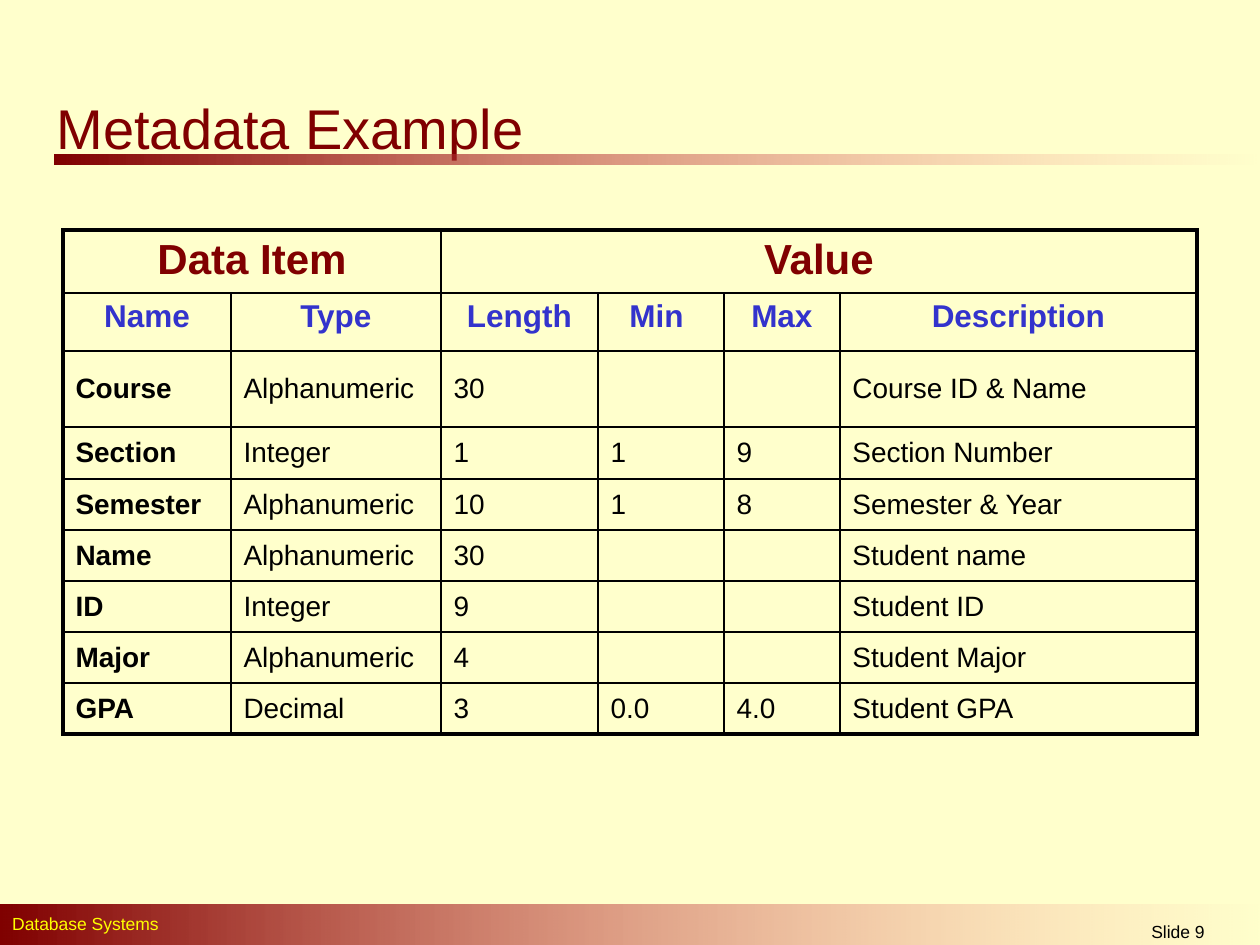
from lxml import etree
from pptx import Presentation
from pptx.dml.color import RGBColor
from pptx.enum.shapes import MSO_SHAPE
from pptx.enum.text import MSO_ANCHOR, MSO_AUTO_SIZE, PP_ALIGN
from pptx.oxml.ns import qn
from pptx.util import Pt

RECT = MSO_SHAPE.RECTANGLE
TOP, MIDDLE = MSO_ANCHOR.TOP, MSO_ANCHOR.MIDDLE
LEFT, CENTER = PP_ALIGN.LEFT, PP_ALIGN.CENTER
NO_FIT = MSO_AUTO_SIZE.NONE
TITLE_ONLY = 5


class Theme:
    font = "Arial"
    background, maroon, fade = "FFFFCC", "800000", "FF8585"
    blue, black, yellow = "3333CC", "000000", "FFFF00"
    thin, thick = 1, 2.25
    title = dict(size=32, color=maroon)
    group = dict(size=24, color=maroon, bold=True)
    heading = dict(size=18, color=blue, bold=True)
    item = dict(size=16, color=black, bold=True)
    value = dict(size=16, color=black)
    footer = dict(size=10, color=yellow)
    number = dict(size=10, color=black)


GROUPS = [("Data Item", 0, 2), ("Value", 2, 4)]  # text, first column, span
HEADINGS = ["Name", "Type", "Length", "Min ", "Max", "Description"]
ITEMS = [
    ["Course", "Alphanumeric", "30", "", "", "Course ID & Name"],
    ["Section", "Integer", "1", "1", "9", "Section Number"],
    ["Semester", "Alphanumeric", "10", "1", "8", "Semester & Year"],
    ["Name", "Alphanumeric", "30", "", "", "Student name"],
    ["ID", "Integer", "9", "", "", "Student ID"],
    ["Major", "Alphanumeric", "4", "", "", "Student Major"],
    ["GPA", "Decimal", "3", "0.0", "4.0", "Student GPA"],
]
COL_WIDTHS = [168, 210, 157, 126, 116, 357]
ROW_HEIGHTS = [63, 58, 76, 52] + [51] * 5


def px(n):
    """Pixels to EMU, at 126 px to the inch."""
    return round(n * 914400 / 126)


def emu(box):
    return [px(n) for n in box]


def write(tf, text, style, align=LEFT):
    p = tf.paragraphs[0]
    p.alignment = align
    r = p.add_run()
    r.text = text
    values = dict(name=Theme.font, size=Pt(style["size"]),
                  bold=style.get("bold", False))
    for name, value in values.items():
        setattr(r.font, name, value)
    r.font.color.rgb = RGBColor.from_string(style["color"])


def add_fading_bar(s, box):
    sp = s.shapes.add_shape(RECT, *emu(box))
    sp.shadow.inherit = False
    sp.line.fill.background()
    sp.fill.gradient()
    sp.fill.gradient_angle = 0
    for stop, color in zip(sp.fill.gradient_stops, (Theme.maroon, Theme.fade)):
        stop.color.rgb = RGBColor.from_string(color)
    # The last colour is fully transparent
    end = sp.fill._xPr.findall(".//" + qn("a:srgbClr"))[-1]
    etree.SubElement(end, qn("a:alpha"), val="0")


def add_label(s, box, text, style, align=LEFT):
    tf = s.shapes.add_textbox(*emu(box)).text_frame
    tf.word_wrap = True
    write(tf, text, style, align)


def add_title(s, box, text):
    sp = s.shapes.title
    sp.left, sp.top, sp.width, sp.height = emu(box)
    tf = sp.text_frame
    tf.auto_size = NO_FIT
    tf.vertical_anchor = MIDDLE
    write(tf, text, Theme.title)
    x, y, _, _ = box
    add_fading_bar(s, (x + 10, y + 69, 1206, 10))


def add_footer(s, box):
    x, y, w, h = box
    add_fading_bar(s, box)
    add_label(s, (x - 5, y + 2, 809, 34), " Database Systems", Theme.footer)
    add_label(s, (x + 1047, y + 10, 262, 30), "Slide 9", Theme.number, CENTER)


def set_borders(cell, **widths):
    tc_pr = cell._tc.get_or_add_tcPr()
    for side in "LRTB":
        ln = etree.SubElement(tc_pr, qn("a:ln" + side), w=str(Pt(widths[side])))
        fill = etree.SubElement(ln, qn("a:solidFill"))
        etree.SubElement(fill, qn("a:srgbClr"), val=Theme.black)


def add_metadata_table(s, x, y):
    rows, cols = len(ROW_HEIGHTS), len(COL_WIDTHS)
    box = (x, y, sum(COL_WIDTHS), sum(ROW_HEIGHTS))
    table = s.shapes.add_table(rows, cols, *emu(box)).table
    table.first_row = table.horz_banding = False
    for col, width in zip(table.columns, COL_WIDTHS):
        col.width = px(width)
    for row, height in zip(table.rows, ROW_HEIGHTS):
        row.height = px(height)

    def fill_cell(r, c, text, style, align=LEFT, anchor=MIDDLE, span=1):
        cell = table.cell(r, c)
        if span > 1:
            cell.merge(table.cell(r, c + span - 1))
        # Thick lines on the outside of the table only
        outer = dict(L=c == 0, R=c + span == cols, T=r == 0, B=r == rows - 1)
        set_borders(cell, **{side: Theme.thick if out else Theme.thin
                             for side, out in outer.items()})
        cell.fill.background()
        cell.vertical_anchor = anchor
        if text:
            write(cell.text_frame, text, style, align)

    # Two heading rows
    for text, c, span in GROUPS:
        fill_cell(0, c, text, Theme.group, CENTER, TOP, span)
    for c, text in enumerate(HEADINGS):
        fill_cell(1, c, text, Theme.heading, CENTER, TOP)
    # Data items
    for r, item in enumerate(ITEMS, 2):
        for c, text in enumerate(item):
            fill_cell(r, c, text, Theme.value if c else Theme.item)


def main():
    prs = Presentation()
    prs.slide_width, prs.slide_height = px(1260), px(945)
    s = prs.slides.add_slide(prs.slide_layouts[TITLE_ONLY])
    s.background.fill.solid()
    s.background.fill.fore_color.rgb = RGBColor.from_string(Theme.background)
    add_footer(s, (0, 905, 1264, 44))
    add_title(s, (44, 86, 1140, 83), "Metadata Example")
    add_metadata_table(s, 63, 230)
    prs.save("out.pptx")


if __name__ == "__main__":
    main()
